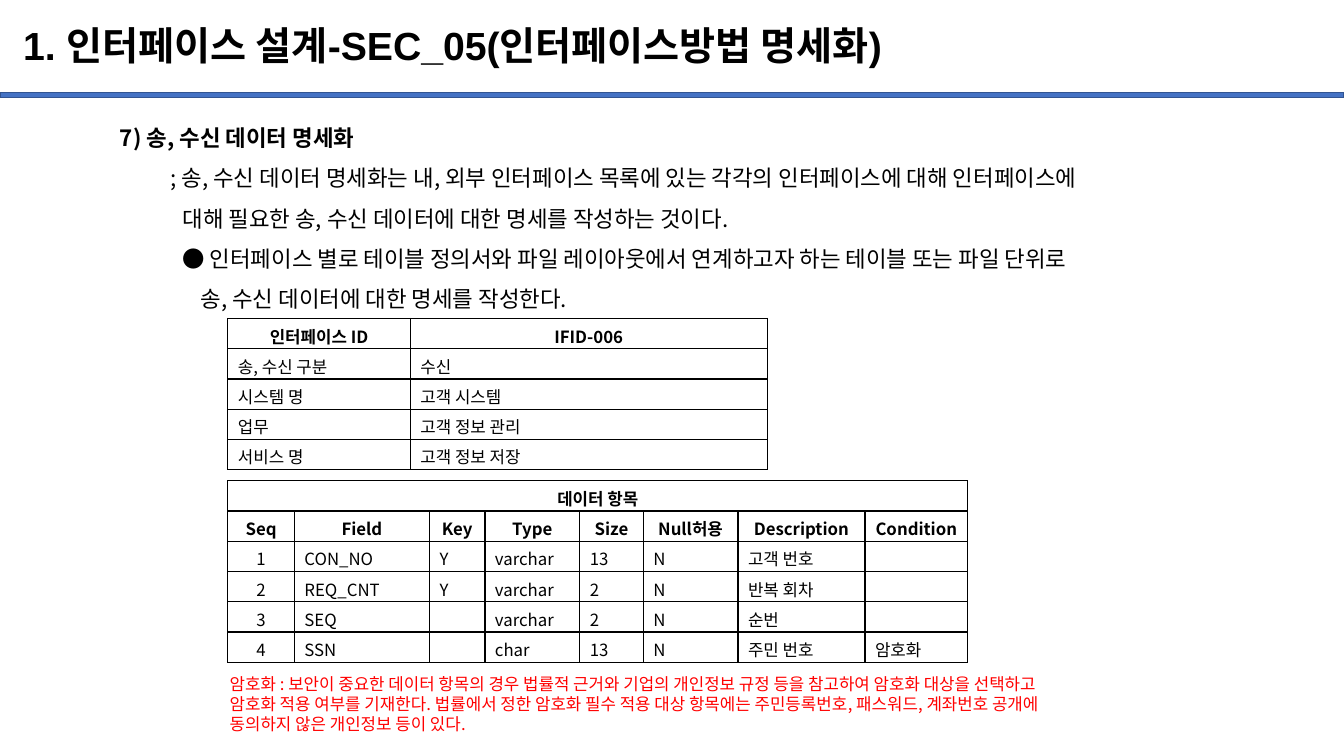
from lxml.etree import SubElement
from pptx import Presentation
from pptx.dml.color import RGBColor
from pptx.enum.shapes import MSO_SHAPE
from pptx.enum.text import MSO_ANCHOR, MSO_AUTO_SIZE, PP_ALIGN
from pptx.oxml.ns import qn
from pptx.util import Inches, Pt

TITLE = "1. 인터페이스 설계-SEC_05(인터페이스방법 명세화)"
# Each line with its indent in inches
EXPLANATION = [
    ("7) 송, 수신 데이터 명세화", 0),
    ("; 송, 수신 데이터 명세화는 내, 외부 인터페이스 목록에 있는 각각의 인터페이스에 대해 인터페이스에", 0.5),
    ("대해 필요한 송, 수신 데이터에 대한 명세를 작성하는 것이다.", 0.62),
    ("● 인터페이스 별로 테이블 정의서와 파일 레이아웃에서 연계하고자 하는 테이블 또는 파일 단위로", 0.62),
    ("송, 수신 데이터에 대한 명세를 작성한다.", 0.8),
]
INTERFACE_ROWS = [
    ["인터페이스 ID", "IFID-006"],
    ["송, 수신 구분", "수신"],
    ["시스템 명", "고객 시스템"],
    ["업무", "고객 정보 관리"],
    ["서비스 명", "고객 정보 저장"],
]
DATA_ROWS = [
    ["데이터 항목"] + [""] * 7,
    ["Seq", "Field", "Key", "Type", "Size", "Null허용", "Description", "Condition"],
    ["1", "CON_NO", "Y", "varchar", "13", "N", "고객 번호", ""],
    ["2", "REQ_CNT", "Y", "varchar", "2", "N", "반복 회차", ""],
    ["3", "SEQ", "", "varchar", "2", "N", "순번", ""],
    ["4", "SSN", "", "char", "13", "N", "주민 번호", "암호화"],
]
ENCRYPTION_NOTE = [
    "암호화 : 보안이 중요한 데이터 항목의 경우 법률적 근거와 기업의 개인정보 규정 등을 참고하여 암호화 대상을 선택하고",
    "암호화 적용 여부를 기재한다. 법률에서 정한 암호화 필수 적용 대상 항목에는 주민등록번호, 패스워드, 계좌번호 공개에",
    "동의하지 않은 개인정보 등이 있다.",
]


def color(hex_text):
    return RGBColor.from_string(hex_text)


class SpecSlide:
    korean = "Noto Sans CJK KR"
    black, white, red = "000000", "FFFFFF", "FF0000"
    bar_fill, bar_line = "4472C4", "325491"
    row_height = 0.3

    def __init__(self, deck):
        self.slide = deck.slides.add_slide(deck.slide_layouts[1])

    def place(self, shape, left, top, width, height):
        shape.left, shape.top = Inches(left), Inches(top)
        shape.width, shape.height = Inches(width), Inches(height)

    def format(self, paragraph, size, bold=False, ink=black, latin=korean):
        for run in paragraph.runs:
            run.font.size, run.font.bold, run.font.name = Pt(size), bold, latin
            run.font.color.rgb = color(ink)
            SubElement(run.font._element, qn("a:ea"), typeface=self.korean)

    def bar(self, top, width, height):
        bar = self.slide.shapes.add_shape(
            MSO_SHAPE.RECTANGLE, 0, Inches(top), Inches(width), Inches(height))
        bar.shadow.inherit = False
        bar.fill.solid()
        bar.fill.fore_color.rgb = color(self.bar_fill)
        bar.line.color.rgb = color(self.bar_line)
        bar.line.width = Pt(1)

    def title(self, text, *box):
        title = self.slide.shapes.title
        self.place(title, *box)
        frame = title.text_frame
        frame.text = text
        frame.auto_size = MSO_AUTO_SIZE.NONE
        frame.vertical_anchor = MSO_ANCHOR.MIDDLE
        heading = frame.paragraphs[0]
        heading.alignment, heading.line_spacing = PP_ALIGN.LEFT, 0.9
        self.format(heading, 28, bold=True, latin="Arial")

    def explanation(self, lines, *box):
        body = self.slide.placeholders[1]
        self.place(body, *box)
        frame = body.text_frame
        frame.text = "\n".join(text for text, _ in lines)
        frame.auto_size = MSO_AUTO_SIZE.NONE
        for index, (paragraph, (_, indent)) in enumerate(zip(frame.paragraphs, lines)):
            paragraph.line_spacing = 1.5
            paragraph.space_before = Pt(0)
            properties = paragraph._p.get_or_add_pPr()
            properties.set("marL", str(Inches(indent)))
            properties.set("indent", "0")
            SubElement(properties, qn("a:buNone"))
            self.format(paragraph, 16, bold=index == 0)

    def note(self, lines, *box):
        note = self.slide.shapes.add_textbox(*map(Inches, box))
        note.text_frame.word_wrap = True
        note.text_frame.text = "\n".join(lines)
        for paragraph in note.text_frame.paragraphs:
            self.format(paragraph, 12, ink=self.red)

    def cell(self, cell, text, header, centered):
        cell.text = text
        cell.margin_top, cell.margin_bottom = Inches(0.05), 0
        paragraph = cell.text_frame.paragraphs[0]
        paragraph.alignment = PP_ALIGN.CENTER if centered else PP_ALIGN.LEFT
        self.format(paragraph, 12, bold=header)
        if not text:
            SubElement(paragraph._p, qn("a:endParaRPr"), sz="1200")
        properties = cell._tc.get_or_add_tcPr()
        for side in ("a:lnL", "a:lnR", "a:lnT", "a:lnB"):
            border = SubElement(properties, qn(side), w=str(Pt(1)))
            SubElement(SubElement(border, qn("a:solidFill")),
                       qn("a:srgbClr"), val=self.black)
        cell.fill.solid()
        cell.fill.fore_color.rgb = color(self.white)

    def table(self, rows, widths, left, top, header_rows, centered_columns=0):
        table = self.slide.shapes.add_table(
            len(rows), len(widths), Inches(left), Inches(top),
            Inches(sum(widths)), Inches(self.row_height * len(rows))).table
        table.first_row = table.horz_banding = False
        for column, width in zip(table.columns, widths):
            column.width = Inches(width)
        for r, row in enumerate(rows):
            table.rows[r].height = Inches(self.row_height)
            for c, text in enumerate(row):
                header = r < header_rows
                self.cell(table.cell(r, c), text, header, header or c < centered_columns)
        return table


def main():
    deck = Presentation()
    deck.slide_width, deck.slide_height = Inches(13.33), Inches(7.5)
    spec = SpecSlide(deck)
    spec.bar(0.92, 13.33, 0.05)
    spec.title(TITLE, 0.13, 0.1, 11.5, 0.74)
    spec.explanation(EXPLANATION, 1.09, 1.05, 11.72, 2.12)
    data = spec.table(DATA_ROWS, [0.66, 1.34, 0.55, 0.94, 0.63, 0.94, 1.26, 1.02],
                      2.26, 4.77, header_rows=2, centered_columns=1)
    data.cell(0, 0).merge(data.cell(0, 7))
    spec.table(INTERFACE_ROWS, [1.81, 3.54], 2.26, 3.16, header_rows=1)
    spec.note(ENCRYPTION_NOTE, 2.18, 6.63, 10, 0.71)
    deck.save("out.pptx")


if __name__ == "__main__":
    main()
